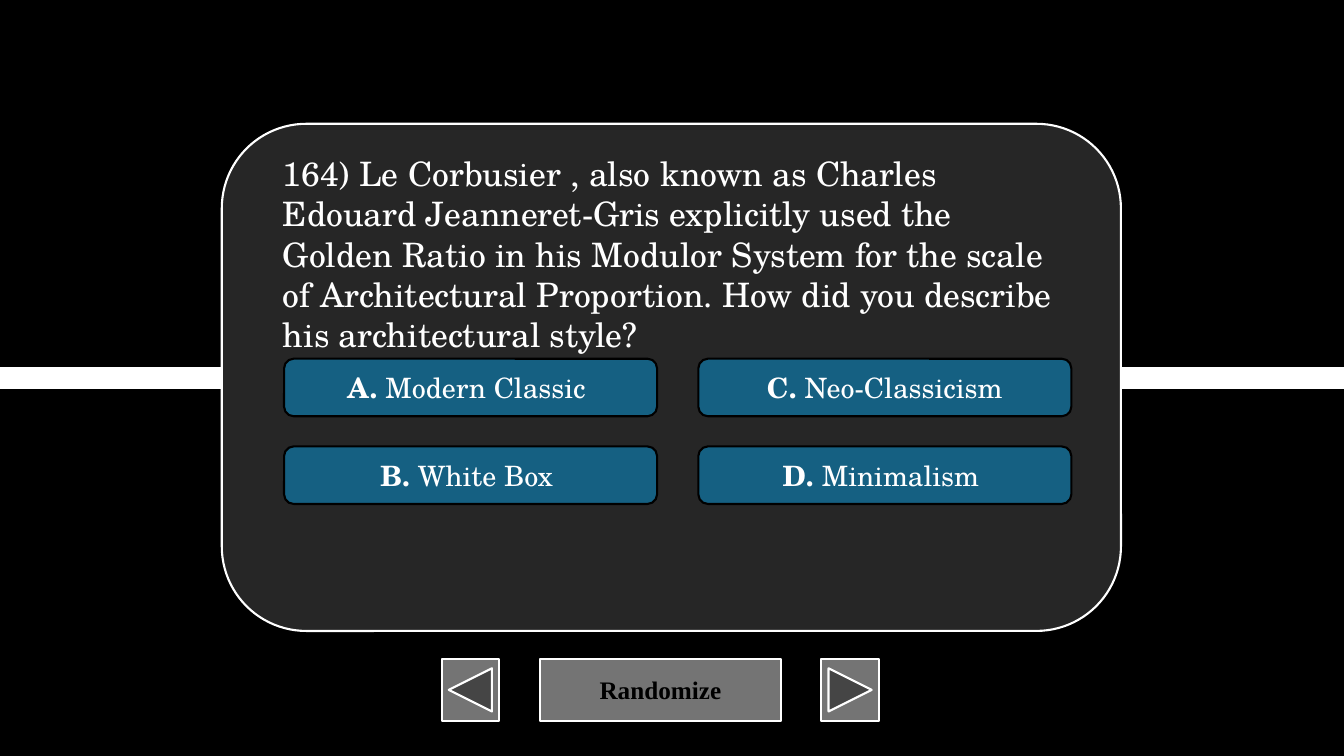
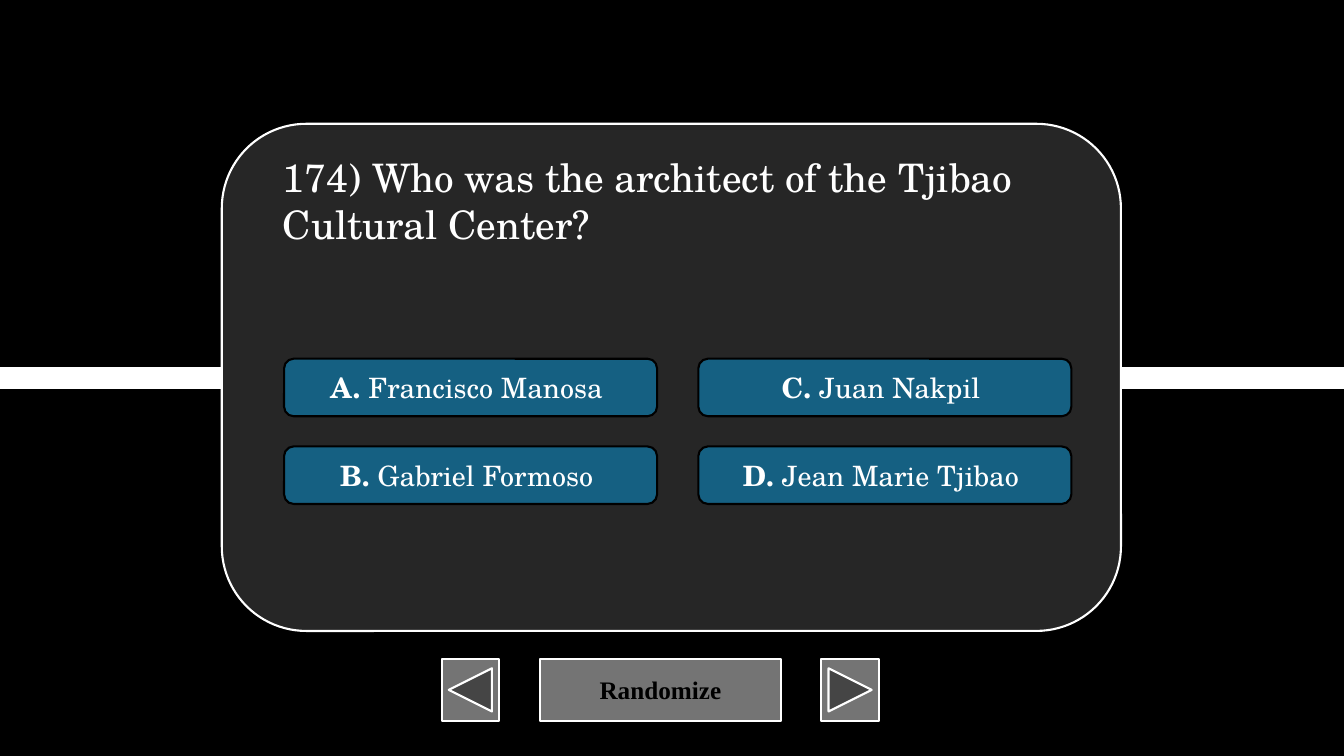
from dataclasses import dataclass

from lxml.etree import SubElement
from pptx import Presentation
from pptx.dml.color import RGBColor
from pptx.enum.shapes import MSO_CONNECTOR, MSO_SHAPE
from pptx.enum.text import MSO_ANCHOR, MSO_AUTO_SIZE, PP_ALIGN
from pptx.oxml.ns import qn
from pptx.shapes.autoshape import Shape
from pptx.slide import Slide
from pptx.text.text import _Paragraph as Para
from pptx.util import Cm, Pt

HUES = {
    "black": "000000",
    "white": "FFFFFF",
    "card": "262626",
    "button": "747474",
    "answer": "156082",
}
SERIF = "TeX Gyre Schola"
ROMAN = "Times New Roman"
WIDE, HIGH = 33.87, 19.05


@dataclass(frozen=True)
class Box:
    left: float
    top: float
    width: float
    height: float


@dataclass(frozen=True)
class Button:
    kind: MSO_SHAPE
    left: float
    width: float
    label: str = ""


@dataclass(frozen=True)
class Quiz:
    ask: str
    size: int
    height: float
    picks: tuple[str, ...]


BUTTONS = (
    Button(MSO_SHAPE.ACTION_BUTTON_CUSTOM, 13.61, 6.07, "Randomize"),
    Button(MSO_SHAPE.ACTION_BUTTON_BACK_OR_PREVIOUS, 11.13, 1.45),
    Button(MSO_SHAPE.ACTION_BUTTON_FORWARD_OR_NEXT, 20.7, 1.45),
)
CARD = Box(5.59, 3.12, 22.66, 12.78)
FIRST = Box(7.16, 9.04, 9.4, 1.45)
STEP_X, STEP_Y = 10.44, 2.21

QUIZZES = (
    Quiz(
        "164) Le Corbusier , also known as Charles Edouard Jeanneret-Gris "
        "explicitly used the Golden Ratio in his Modulor System for the scale "
        "of Architectural Proportion. How did you describe his architectural style?",
        24,
        5.38,
        ("Modern Classic ", "White Box ", "Neo-Classicism", "Minimalism "),
    ),
    Quiz(
        "174) Who was the architect of the Tjibao Cultural Center?",
        28,
        2.64,
        ("Francisco Manosa ", "Gabriel Formoso ", "Juan Nakpil ", "Jean Marie Tjibao "),
    ),
)


def tint(name: str) -> RGBColor:
    return RGBColor.from_string(HUES[name])


def add_run(para: Para, text: str, size: int, hue: str = "white",
            face: str = SERIF, bold: bool = False) -> None:
    run = para.add_run()
    run.text = text
    font = run.font
    font.name, font.size, font.bold = face, Pt(size), bold
    font.color.rgb = tint(hue)


def add_block(slide: Slide, kind: MSO_SHAPE, box: Box, fill: str, line: str) -> Shape:
    block = slide.shapes.add_shape(
        kind, Cm(box.left), Cm(box.top), Cm(box.width), Cm(box.height))
    block.shadow.inherit = False
    block.fill.solid()
    block.fill.fore_color.rgb = tint(fill)
    block.line.color.rgb = tint(line)
    block.line.width = Pt(1.5)
    block.text_frame.vertical_anchor = MSO_ANCHOR.MIDDLE
    block.text_frame.paragraphs[0].alignment = PP_ALIGN.CENTER
    return block


def add_frame(slide: Slide) -> None:
    back = slide.background.fill
    back.solid()
    back.fore_color.rgb = tint("black")
    band = slide.shapes.add_connector(
        MSO_CONNECTOR.STRAIGHT, 0, Cm(HIGH / 2), Cm(WIDE), Cm(HIGH / 2))
    band.line.color.rgb = tint("white")
    band.line.width = Pt(16)
    SubElement(band.element.spPr, qn("a:effectLst"))
    for button in BUTTONS:
        box = Box(button.left, 16.61, button.width, 1.55)
        block = add_block(slide, button.kind, box, "button", "white")
        if button.label:
            add_run(block.text_frame.paragraphs[0], button.label, 18, "black", ROMAN, True)
    add_block(slide, MSO_SHAPE.ROUNDED_RECTANGLE, CARD, "card", "white")


def add_picks(slide: Slide, picks: tuple[str, ...]) -> None:
    for index, (mark, pick) in enumerate(zip("ABCD", picks)):
        col, row = divmod(index, 2)
        box = Box(FIRST.left + col * STEP_X, FIRST.top + row * STEP_Y,
                  FIRST.width, FIRST.height)
        block = add_block(slide, MSO_SHAPE.ROUNDED_RECTANGLE, box, "answer", "black")
        para = block.text_frame.paragraphs[0]
        add_run(para, f"{mark}. ", 20, bold=True)
        add_run(para, pick, 20)


def add_ask(slide: Slide, quiz: Quiz) -> None:
    frame = slide.shapes.add_textbox(
        Cm(6.88), Cm(3.73), Cm(20.12), Cm(quiz.height)).text_frame
    frame.word_wrap = True
    frame.auto_size = MSO_AUTO_SIZE.SHAPE_TO_FIT_TEXT
    add_run(frame.paragraphs[0], quiz.ask, quiz.size)


def main() -> None:
    deck = Presentation()
    deck.slide_width, deck.slide_height = Cm(WIDE), Cm(HIGH)
    for quiz in QUIZZES:
        slide = deck.slides.add_slide(deck.slide_layouts[6])
        add_frame(slide)
        add_picks(slide, quiz.picks)
        add_ask(slide, quiz)
    deck.save("out.pptx")


if __name__ == "__main__":
    main()
